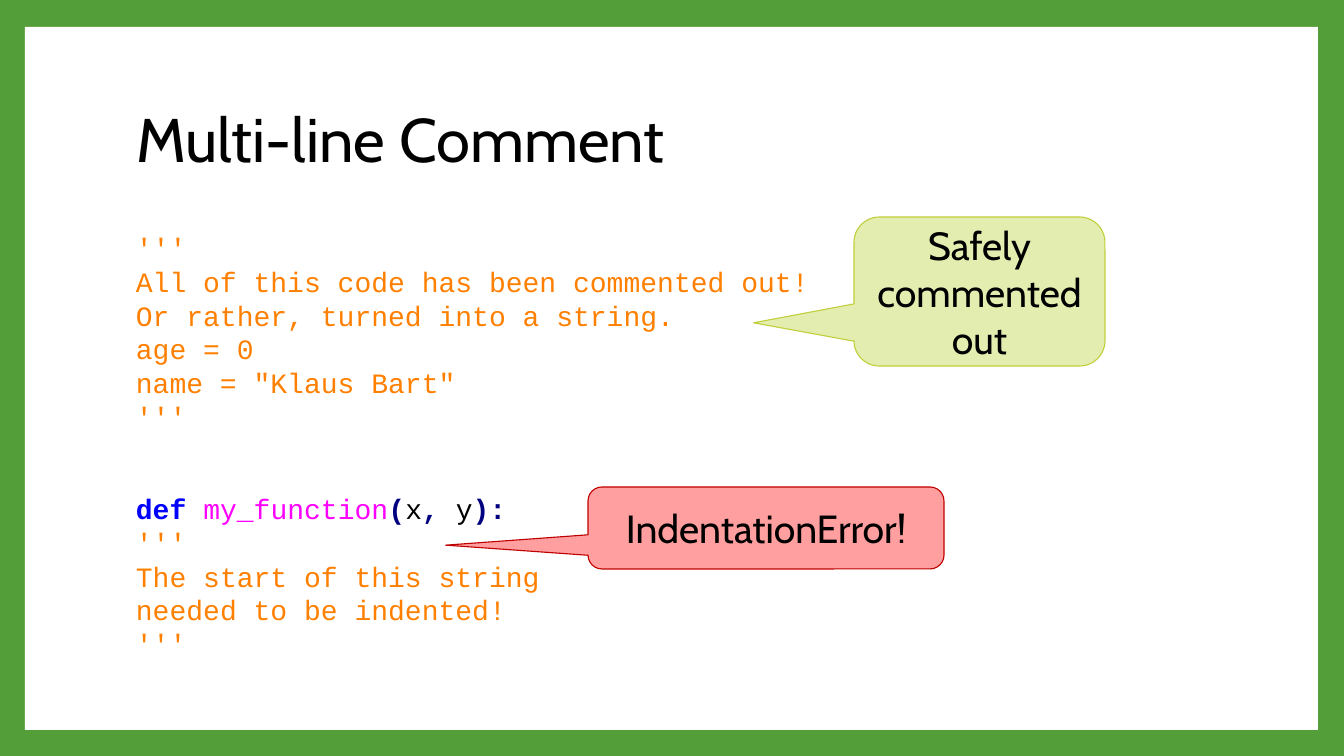
"""Build the slide about multi-line comments in Python."""
from dataclasses import dataclass

from pptx import Presentation
from pptx import util as u
from pptx.dml.color import RGBColor
from pptx.enum import shapes, text

TITLE = "Multi-line Comment"
COMMENTED_CODE = [
    [("'''", "string")],
    [("All of this code has been commented out!", "string")],
    [("Or rather, turned into a string.", "string")],
    [("age = 0", "string")],
    [('name = "Klaus Bart"', "string")],
    [("'''", "string")],
]
FUNCTION_CODE = [
    [("def ", "keyword"), ("my_function", "function"), ("(", "operator"), ("x", "plain"),
     (",", "operator"), (" y", "plain"), ("):", "operator")],
    [("'''", "string")],
    [("The start of this string", "string")],
    [("needed to be indented!", "string")],
    [("'''", "string")],
]
CODE_BLOCKS = [
    (FUNCTION_CODE, (126, 487, 672, 248)),
    (COMMENTED_CODE, (126, 226, 958, 214)),
]
CALLOUTS = [
    ("IndentationError!", (588, 487, 356, 82), "FF9F9F", "C00000"),
    ("Safely commented out", (854, 217, 251, 149), "E4EDB0", "C0CF3A"),
]
CALLOUT_SHAPE = (-0.9, 0.21, 0.17)
PANEL_BOX = (25, 27, 1293, 703)
TITLE_BOX = (126, 68, 1089, 149)
SLIDE_SIZE = (1344, 756)
PX = u.Inches(1) / 100.8


@dataclass(frozen=True)
class Theme:
    """Colours, fonts and type sizes."""
    frame: str = "549E39"
    panel: str = "FFFFFF"
    plain: str = "000000"
    string: str = "FF8000"
    keyword: str = "0000FF"
    function: str = "FF00FF"
    operator: str = "000080"
    sans: str = "Cabin"
    mono: str = "Courier New"
    title_size: int = 44
    callout_size: int = 28
    code_size: int = 20


THEME = Theme()


def emu(lengths):
    return [round(length * PX) for length in lengths]


def paint(fill, colour):
    fill.solid()
    fill.fore_color.rgb = RGBColor.from_string(colour)


def write(paragraph, words, size, font=THEME.sans, colour=THEME.plain, bold=False):
    run = paragraph.add_run()
    run.text = words
    run.font.size = u.Pt(size)
    run.font.name = font
    run.font.bold = bold
    run.font.color.rgb = RGBColor.from_string(colour)


def add_panel(slide):
    panel = slide.shapes.add_shape(shapes.MSO_SHAPE.RECTANGLE, *emu(PANEL_BOX))
    panel.shadow.inherit = False
    paint(panel.fill, THEME.panel)
    panel.line.fill.background()
    slide.shapes._spTree.insert(2, panel._element)


def add_title(slide):
    title = slide.shapes.title
    title.left, title.top, title.width, title.height = emu(TITLE_BOX)
    frame = title.text_frame
    frame.auto_size = text.MSO_AUTO_SIZE.NONE
    frame.vertical_anchor = text.MSO_ANCHOR.MIDDLE
    heading = frame.paragraphs[0]
    heading.alignment = text.PP_ALIGN.LEFT
    heading.line_spacing = 0.9
    write(heading, TITLE, THEME.title_size)


def add_code(slide, lines, box):
    frame = slide.shapes.add_textbox(*emu(box)).text_frame
    frame.word_wrap = True
    for number, line in enumerate(lines):
        paragraph = frame.add_paragraph() if number else frame.paragraphs[0]
        for words, role in line:
            write(paragraph, words, THEME.code_size, font=THEME.mono,
                  colour=getattr(THEME, role), bold=role in ("keyword", "operator"))


def add_callout(slide, words, box, fill, outline):
    callout = slide.shapes.add_shape(
        shapes.MSO_SHAPE.ROUNDED_RECTANGULAR_CALLOUT, *emu(box))
    callout.shadow.inherit = False
    for index, value in enumerate(CALLOUT_SHAPE):
        callout.adjustments[index] = value
    paint(callout.fill, fill)
    paint(callout.line.fill, outline)
    callout.line.width = u.Pt(0.79)
    frame = callout.text_frame
    frame.word_wrap = True
    frame.vertical_anchor = text.MSO_ANCHOR.MIDDLE
    frame.paragraphs[0].alignment = text.PP_ALIGN.CENTER
    write(frame.paragraphs[0], words, THEME.callout_size)


def main():
    deck = Presentation()
    deck.slide_width, deck.slide_height = emu(SLIDE_SIZE)
    slide = deck.slides.add_slide(deck.slide_layouts[5])
    paint(slide.background.fill, THEME.frame)
    add_panel(slide)
    add_title(slide)
    for lines, box in CODE_BLOCKS:
        add_code(slide, lines, box)
    for callout in CALLOUTS:
        add_callout(slide, *callout)
    deck.save("out.pptx")


if __name__ == "__main__":
    main()
